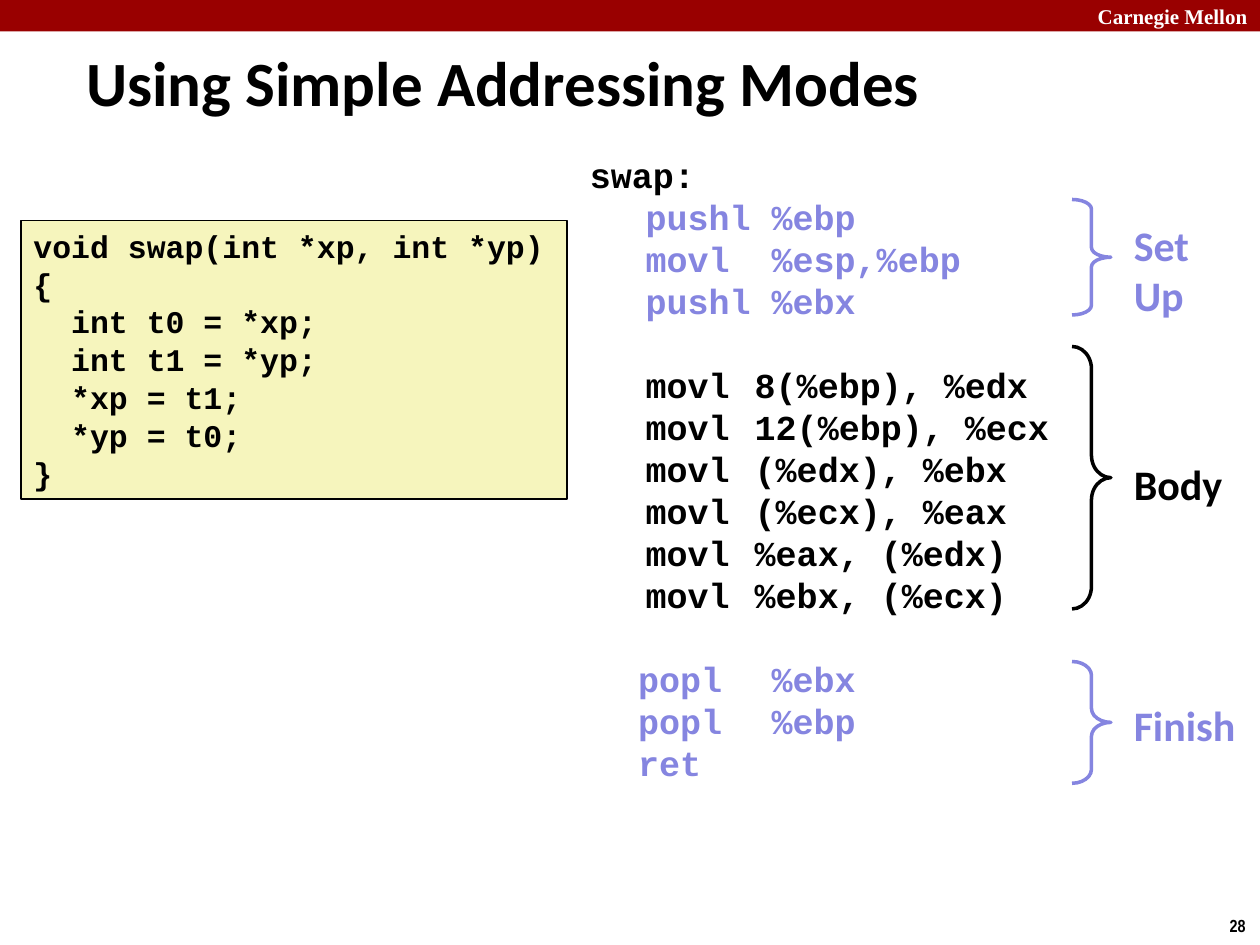
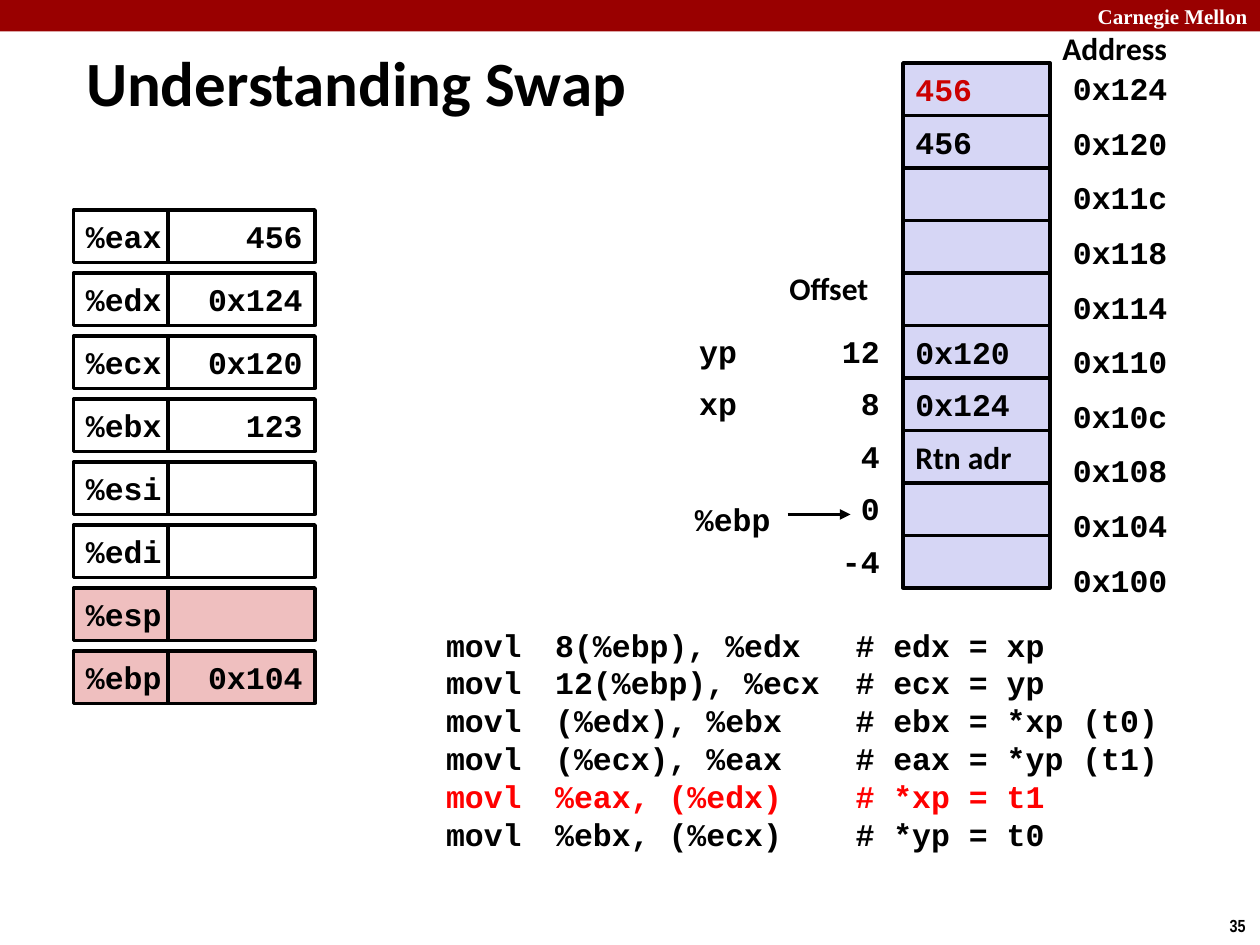
"""Build two slides on addressing modes and the swap function."""
from lxml.etree import SubElement
from pptx import Presentation
from pptx.dml.color import RGBColor
from pptx.enum.shapes import MSO_CONNECTOR, MSO_SHAPE
from pptx.enum.text import MSO_ANCHOR, MSO_AUTO_SIZE, PP_ALIGN
from pptx.oxml.ns import qn
from pptx.util import Pt

PX = 7620
BLACK = RGBColor(0x00, 0x00, 0x00)
WHITE = RGBColor(0xFF, 0xFF, 0xFF)
MAROON = RGBColor(0x99, 0x00, 0x00)
VIOLET = RGBColor(0x85, 0x85, 0xE0)
LILAC = RGBColor(0xD6, 0xD6, 0xF5)
CREAM = RGBColor(0xF6, 0xF5, 0xBD)
PINK = RGBColor(0xEF, 0xBF, 0xBF)
CRIMSON = RGBColor(0xCC, 0x00, 0x00)
RED = RGBColor(0xFF, 0x00, 0x00)
MONO = "Courier New"
SANS = "Calibri"

SWAP = """void swap(int *xp, int *yp)
{
  int t0 = *xp;
  int t1 = *yp;
  *xp = t1;
  *yp = t0;
}"""
MOVES = [
    ("8(%ebp), %edx", "edx = xp"),
    ("12(%ebp), %ecx", "ecx = yp"),
    ("(%edx), %ebx", "ebx = *xp (t0)"),
    ("(%ecx), %eax", "eax = *yp (t1)"),
    ("%eax, (%edx)", "*xp = t1"),
    ("%ebx, (%ecx)", "*yp = t0"),
]


def write(frame, text, font=MONO, size=18, color=BLACK, align=PP_ALIGN.LEFT,
          anchor=MSO_ANCHOR.TOP, wrap=True, tabs=(), lead=None, gap=0):
    """Append each line of text to the frame as a bold paragraph."""
    frame.word_wrap = wrap
    frame.auto_size = MSO_AUTO_SIZE.NONE
    frame.vertical_anchor = anchor
    for row, line in enumerate(text.split("\n")):
        para = frame.add_paragraph() if frame.text else frame.paragraphs[0]
        para.alignment = align
        if lead:
            para.line_spacing = Pt(lead)
        if gap and row == 0:
            para.space_before = Pt(gap)
        if tabs:
            stops = SubElement(para._p.get_or_add_pPr(), qn("a:tabLst"))
            for stop in tabs:
                SubElement(stops, qn("a:tab"), pos=str(stop * PX), algn="l")
        run = para.add_run()
        run.text = line
        run.font.name = font
        run.font.size = Pt(size)
        run.font.bold = True
        run.font.color.rgb = color


class Deck:
    """Hold the shared style and the current slide."""

    def __init__(self):
        self.prs = Presentation()
        self.prs.slide_width = 1200 * PX
        self.prs.slide_height = 900 * PX

    def start(self, title, width, number):
        """Open a slide with its band, title and number."""
        self.slide = self.prs.slides.add_slide(self.prs.slide_layouts[5])
        self.box("Carnegie Mellon", 0, 0, 1200, 30, MAROON, edge=None,
                 font="Times New Roman", size=12, color=WHITE,
                 align=PP_ALIGN.RIGHT)
        head = self.slide.shapes.title
        head.left, head.top = 70 * PX, 40 * PX
        head.width, head.height = width * PX, 75 * PX
        write(head.text_frame, title, font=SANS, size=36,
              anchor=MSO_ANCHOR.MIDDLE)
        self.label(number, 1138, 866, 60, 32, font="Arial Narrow", size=10,
                   align=PP_ALIGN.RIGHT)

    def shape(self, kind, x, y, w, h, fill, edge, thick):
        """Add a flat preset shape."""
        shape = self.slide.shapes.add_shape(
            kind, x * PX, y * PX, w * PX, h * PX)
        shape.shadow.inherit = False
        if fill is None:
            shape.fill.background()
        else:
            shape.fill.solid()
            shape.fill.fore_color.rgb = fill
        if edge is None:
            shape.line.fill.background()
        else:
            shape.line.color.rgb = edge
            shape.line.width = Pt(thick)
        return shape

    def box(self, text, x, y, w, h, fill, edge=BLACK, thick=2, **style):
        """Add a rectangle, with text if there is any."""
        shape = self.shape(MSO_SHAPE.RECTANGLE, x, y, w, h, fill, edge, thick)
        if text:
            style = {"anchor": MSO_ANCHOR.MIDDLE, "wrap": False, **style}
            write(shape.text_frame, text, **style)

    def label(self, text, x, y, w, h=48, **style):
        """Add a text box and return its frame."""
        frame = self.slide.shapes.add_textbox(
            x * PX, y * PX, w * PX, h * PX).text_frame
        write(frame, text, **style)
        return frame

    def brace(self, x, y, w, h, bend, color):
        """Add a right brace."""
        brace = self.shape(MSO_SHAPE.RIGHT_BRACE, x, y, w, h, None, color, 2)
        brace.adjustments[0] = bend

    def arrow(self, x, y, end):
        """Add a level arrow."""
        arrow = self.slide.shapes.add_connector(
            MSO_CONNECTOR.STRAIGHT, x * PX, y * PX, end * PX, y * PX)
        arrow.line.color.rgb = BLACK
        arrow.line.width = Pt(2)
        SubElement(arrow.line._get_or_add_ln(), qn("a:tailEnd"),
                   type="triangle")
        SubElement(arrow._element.spPr, qn("a:effectLst"))


def modes(deck):
    """Draw the source, its assembly and the three parts."""
    deck.start("Using Simple Addressing Modes", 1005, "28")
    deck.box(SWAP, 20, 210, 520, 265, CREAM, thick=1, wrap=True,
             anchor=MSO_ANCHOR.TOP, lead=21.6)
    main = {"size": 20, "lead": 24, "tabs": (53, 157)}
    frame = deck.label("swap:", 550, 140, 480, 618, **main)
    write(frame, "\tpushl %ebp\n\tmovl  %esp,%ebp\n\tpushl %ebx",
          color=VIOLET, **main)
    write(frame, "\n".join(f"\tmovl\t{args}" for args, _ in MOVES),
          gap=24, **main)
    write(frame, "\tpopl\t%ebx\n\tpopl\t%ebp\n\tret", color=VIOLET, gap=24,
          **{**main, "tabs": (46, 173)})
    for text, top, tall, bend, place, color in [
        ("Set\nUp", 190, 110, 0.25, 203, VIOLET),
        ("Body", 330, 250, 0.58, 431, BLACK),
        ("Finish", 630, 116, 0.36, 660, VIOLET),
    ]:
        deck.brace(1021, top, 37, tall, bend, color)
        deck.label(text, 1068, place, 132, 60 * len(text.split("\n")),
                   font=SANS, size=24, color=color)


def trace(deck):
    """Draw the registers, the stack and the traced code."""
    deck.start("Understanding Swap", 836, "35")
    regs = {"%eax": "456", "%edx": "0x124", "%ecx": "0x120", "%ebx": "123",
            "%esi": "", "%edi": "", "%esp": "", "%ebp": "0x104"}
    for row, (name, value) in enumerate(regs.items()):
        fill = PINK if name in ("%esp", "%ebp") else WHITE
        top = 200 + 60 * row
        deck.box(name, 70, top, 90, 50, fill)
        deck.box(value, 160, top, 140, 50, fill, align=PP_ALIGN.RIGHT)

    stack = ["456", "456", "", "", "", "0x120", "0x124", "Rtn adr", "", ""]
    for row, value in enumerate(stack):
        deck.box(value, 860, 60 + 50 * row, 140, 50, LILAC,
                 font=SANS if value == "Rtn adr" else MONO,
                 color=BLACK if row else CRIMSON)
        deck.label(f"0x{0x124 - 4 * row:x}", 1010, 60 + 52 * row, 160)
    deck.label("Address", 1000, 22, 140, font=SANS)
    deck.label("Offset", 740, 250, 110, font=SANS)
    for row, shift in enumerate(range(12, -5, -4)):
        deck.label(f"{shift:2}", 790, 310 + 50 * row, 70)
    for row, name in enumerate(["yp", "xp"]):
        deck.label(name, 654, 310 + 50 * row, 80)
    deck.label("%ebp", 650, 470, 100)
    deck.arrow(750, 490, 810)

    lines = [f"\tmovl\t{args}\t# {note}" for args, note in MOVES]
    main = {"lead": 21.6, "tabs": (53, 157, 443)}
    frame = deck.label(lines[0], 360, 590, 780, 230, **main)
    for row, line in enumerate(lines[1:], 1):
        write(frame, line, color=RED if row == 4 else BLACK, **main)


def main():
    """Build and save the deck."""
    deck = Deck()
    modes(deck)
    trace(deck)
    deck.prs.save("out.pptx")


if __name__ == "__main__":
    main()
